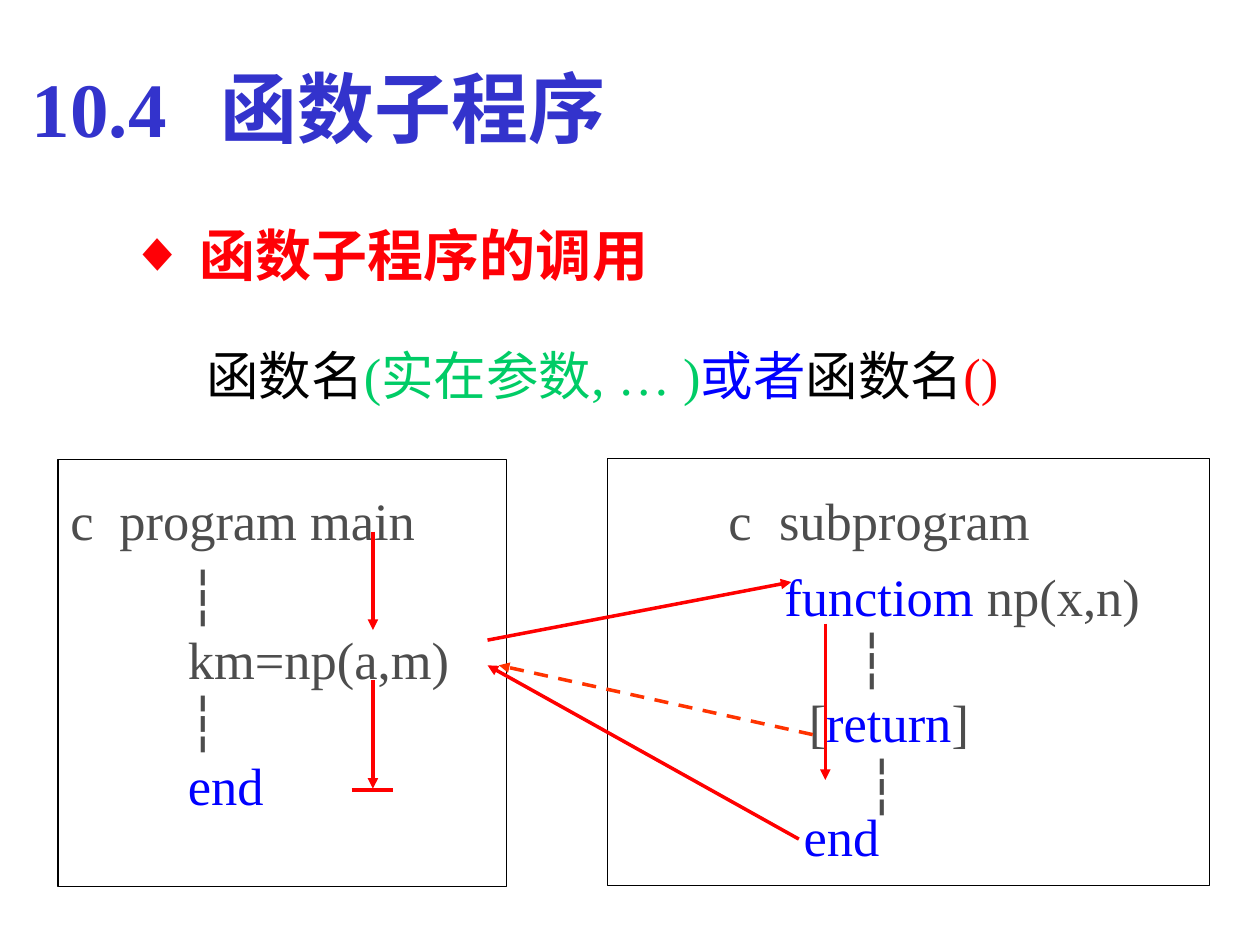
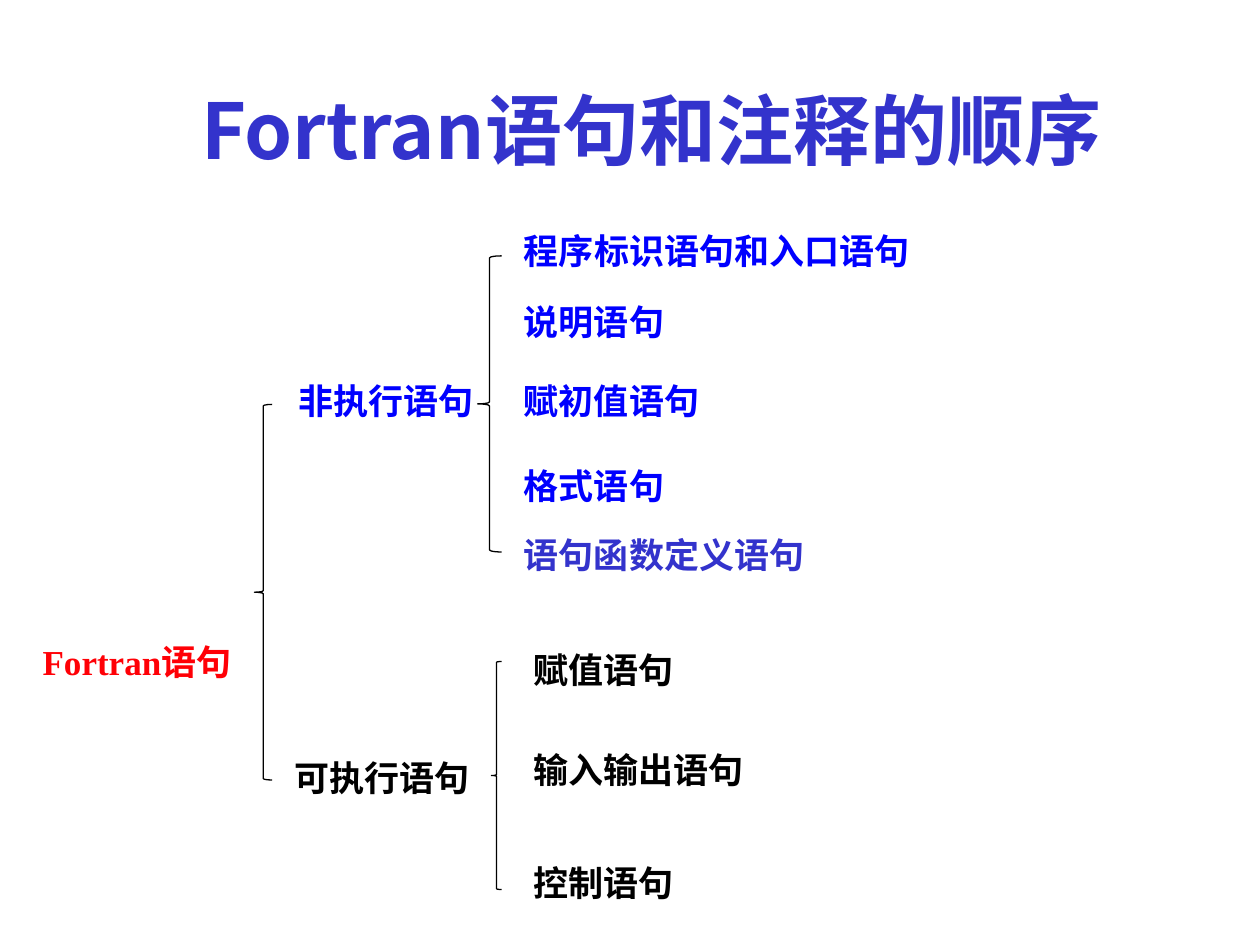
from pptx import Presentation
from pptx.dml.color import RGBColor
from pptx.enum.dml import MSO_LINE
from pptx.enum.shapes import MSO_CONNECTOR, MSO_SHAPE
from pptx.enum.text import MSO_ANCHOR, MSO_AUTO_SIZE, PP_ALIGN
from pptx.oxml.ns import qn
from pptx.util import Pt
from lxml import etree

DASH = MSO_LINE.DASH
STRAIGHT = MSO_CONNECTOR.STRAIGHT
RECT, BRACE = MSO_SHAPE.RECTANGLE, MSO_SHAPE.LEFT_BRACE
TOP, MIDDLE = MSO_ANCHOR.TOP, MSO_ANCHOR.MIDDLE
NO_FIT = MSO_AUTO_SIZE.NONE
LEFT, CENTER = PP_ALIGN.LEFT, PP_ALIGN.CENTER

SERIF, SANS = "Times New Roman", "Noto Sans CJK SC"
INDIGO, BLUE, RED, SCARLET = "3333CC", "0000FF", "FF0000", "FF0006"
GREEN, ORANGE, GRAY = "00CC66", "FF3300", "4D4D4D"
BLACK, WHITE = "000000", "FFFFFF"
TITLE_AND_BODY, TITLE_ONLY = 1, 5


def rgb(color):
    return RGBColor.from_string(color)


def add_tabs(p, stops):
    tabs = etree.SubElement(p._p.get_or_add_pPr(), qn("a:tabLst"))
    for stop in stops:
        etree.SubElement(tabs, qn("a:tab"), pos=str(Pt(stop)), algn="l")


def add_bullet(p, char, color, indent, hang):
    pPr = p._p.get_or_add_pPr()
    pPr.set("marL", str(Pt(indent)))
    pPr.set("indent", str(Pt(-hang)))
    fill = etree.SubElement(pPr, qn("a:buClr"))
    etree.SubElement(fill, qn("a:srgbClr"), val=color)
    etree.SubElement(pPr, qn("a:buChar"), char=char)


def add_run(p, text, color, size, bold=False, latin=SERIF, asian=SANS):
    r = p.add_run()
    r.text = text
    r.font.size, r.font.bold = Pt(size), bold
    r.font.color.rgb = rgb(color)
    r.font.name = latin
    etree.SubElement(r._r.get_or_add_rPr(), qn("a:ea"), typeface=asian)


class Deck:
    def __init__(self):
        self.prs = Presentation()
        self.prs.slide_width, self.prs.slide_height = Pt(720), Pt(540)
        self.slide = None

    def new_slide(self, layout):
        self.slide = self.prs.slides.add_slide(self.prs.slide_layouts[layout])

    def frame(self, sp, box, anchor=MIDDLE, wrap=True):
        """Place a text shape and return its first paragraph."""
        sp.left, sp.top, sp.width, sp.height = map(Pt, box)
        tf = sp.text_frame
        tf.auto_size, tf.word_wrap, tf.vertical_anchor = NO_FIT, wrap, anchor
        return tf.paragraphs[0]

    def title(self, text, box, align, latin, tabs=()):
        p = self.frame(self.slide.shapes.title, box)
        add_tabs(p, tabs)
        p.alignment = align
        add_run(p, text, INDIGO, 44, True, latin)

    def bullet_heading(self, text, box):
        p = self.frame(self.slide.placeholders[1], box)
        add_bullet(p, "◆", SCARLET, 76, 40)
        p.alignment, p.space_before = LEFT, Pt(0)
        add_run(p, text, SCARLET, 32, True, SANS)

    def text(self, box, anchor=MIDDLE):
        sp = self.slide.shapes.add_textbox(0, 0, 0, 0)
        return sp, self.frame(sp, box, anchor, False)

    def formula(self, runs, box):
        p = self.text(box)[1]
        p.alignment, p.line_spacing = CENTER, 0.9
        for text, color in runs:
            add_run(p, text, color, 30)

    def code(self, rows, box):
        sp, p = self.text(box, TOP)
        for i, (tabs, before, spacing, runs) in enumerate(rows):
            if i:
                p = sp.text_frame.add_paragraph()
            add_tabs(p, tabs)
            p.space_before, p.line_spacing = Pt(before), spacing
            for text, color in runs:
                add_run(p, text, color, 30, asian=SERIF)

    def label(self, text, left, top, color, width=None):
        box = left, top, width or 20 * len(text) + 14.4, 31.7
        sp, p = self.text(box)
        sp.fill.solid()
        sp.fill.fore_color.rgb = rgb(WHITE)
        add_run(p, text, color, 20, True)

    def outline(self, kind, box, fill=None):
        sp = self.slide.shapes.add_shape(kind, *map(Pt, box))
        sp.shadow.inherit = False
        if fill:
            sp.fill.solid()
            sp.fill.fore_color.rgb = rgb(fill)
        else:
            sp.fill.background()
        sp.line.color.rgb, sp.line.width = rgb(BLACK), Pt(0.75)

    def line(self, ends, color=RED, arrow=True, dash=None):
        sp = self.slide.shapes.add_connector(STRAIGHT, *map(Pt, ends))
        sp.line.color.rgb, sp.line.width = rgb(color), Pt(2)
        if dash:
            sp.line.dash_style = dash
        if arrow:
            etree.SubElement(sp.line._get_or_add_ln(), qn("a:tailEnd"), type="triangle")
        etree.SubElement(sp._element.spPr, qn("a:effectLst"))


def build_call_slide(deck):
    deck.new_slide(TITLE_AND_BODY)
    deck.title("10.4\t函数子程序", (11, 31.7, 709, 58.3), LEFT, SERIF, [108])
    deck.bullet_heading("函数子程序的调用", (31, 122.4, 373, 46))
    deck.formula([("函数名", BLACK), ("(实在参数, … )", GREEN), ("或者", BLUE),
                  ("函数名", BLACK), ("()", RED)], (92.9, 196.6, 502.6, 39.6))

    step = 67.2  # indent of the statements in the main program
    deck.code([
        ([28, 376, 405], 0, 1.0, [("c\tprogram main\tc\tsubprogram", GRAY)]),
        ([step, 408], 7.5, 1.0,
         [("\t┆\t", GRAY), ("functiom", BLUE), (" np(x,n)", GRAY)]),
        ([step, 449], 0, 1.0, [("\tkm=np(a,m)\t┆", GRAY)]),
        ([step, 422], 0, 1.0,
         [("\t┆\t[", GRAY), ("return", BLUE), ("]", GRAY)]),
        ([step, 455], 0, 1.0, [("\tend", BLUE), ("\t┆", GRAY)]),
        ([419], 0, 0.8, [("\tend", BLUE)]),
    ], (33.1, 275.5, 673, 243))
    deck.outline(RECT, (33.1, 262.8, 256.3, 244))
    deck.outline(RECT, (347, 262, 344.2, 244))

    main_x, sub_x = 213.1, 471.6
    for ends in ((278.6, 365.8, 452.2, 332.6), (456.5, 479.5, 278.6, 380.2),
                 (main_x, 303.8, main_x, 360), (sub_x, 356.4, sub_x, 445.7),
                 (main_x, 388.8, main_x, 450.7)):
        deck.line(ends)
    deck.line((200.9, 451.4, 224.6, 451.4), arrow=False)
    deck.line((464.4, 419.8, 285.1, 380.2), ORANGE, dash=DASH)


def build_statement_slide(deck):
    deck.new_slide(TITLE_ONLY)
    deck.title("Fortran语句和注释的顺序", (87.1, 43.2, 570.2, 60.5), CENTER, SANS)
    deck.label("Fortran语句", 17.3, 362.2, SCARLET, 126.7)
    deck.label("非执行语句", 163.4, 213.1, BLUE)
    deck.label("可执行语句", 161.3, 428.4, BLACK)
    for box in ((145.4, 231.1, 10.1, 214.6), (272.9, 146.2, 13.7, 169.2),
                (280.8, 378, 5.8, 130.3)):
        deck.outline(BRACE, box, WHITE)
    for text, top, color in (("程序标识语句和入口语句", 127.4, BLUE),
                             ("说明语句", 167.8, BLUE),
                             ("赋初值语句", 213.1, BLUE),
                             ("格式语句", 261.4, BLUE),
                             ("语句函数定义语句", 301, INDIGO)):
        deck.label(text, 292.3, top, color)
    for text, top in (("赋值语句", 366.5), ("输入输出语句", 424.1),
                      ("控制语句", 488.2)):
        deck.label(text, 297.9, top, BLACK)


def main():
    deck = Deck()
    build_call_slide(deck)
    build_statement_slide(deck)
    deck.prs.save("out.pptx")


if __name__ == "__main__":
    main()
